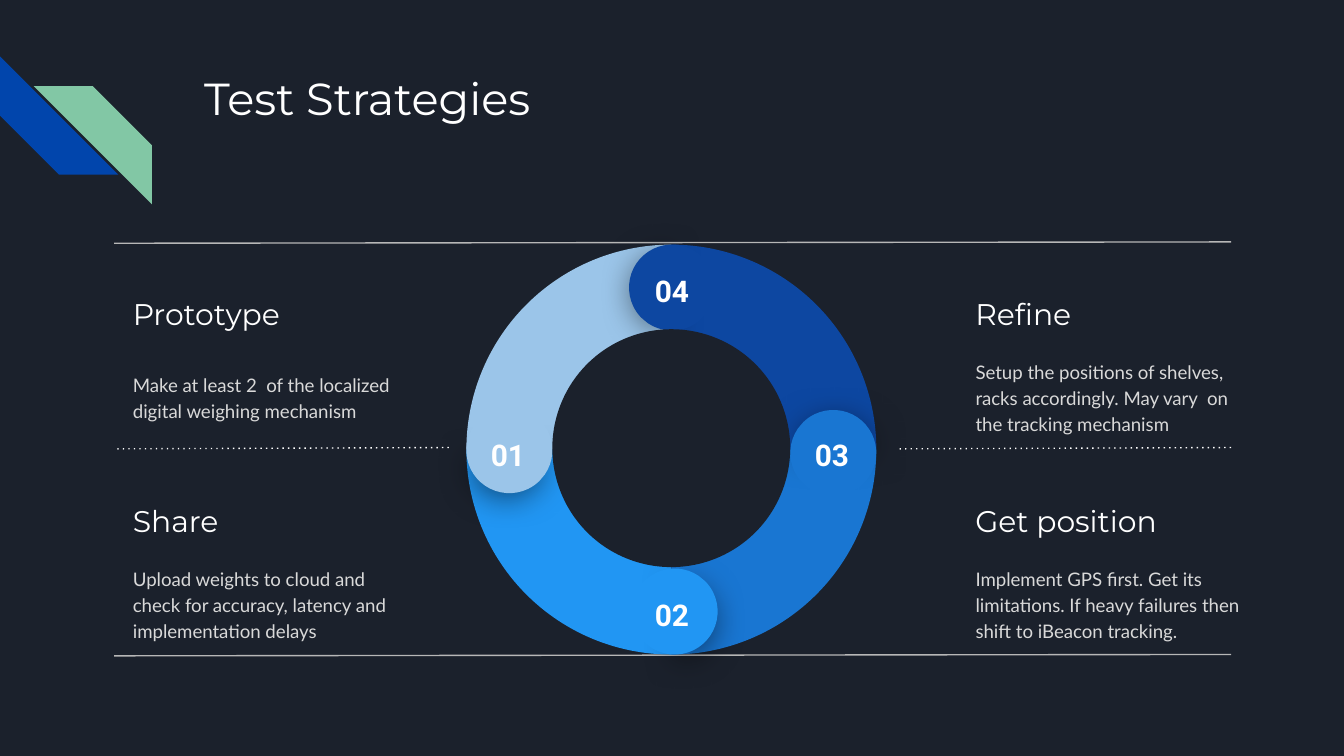
"""Build the Test Strategies slide: a four-step ring with a description beside each step."""
from lxml import etree
from pptx import Presentation
from pptx.dml.color import RGBColor
from pptx.enum.shapes import MSO_CONNECTOR, MSO_SHAPE
from pptx.enum.text import MSO_ANCHOR, PP_ALIGN
from pptx.oxml import parse_xml
from pptx.oxml.ns import nsdecls, qn
from pptx.util import Inches, Pt

STRAIGHT = MSO_CONNECTOR.STRAIGHT
STRIPE, PIE = MSO_SHAPE.DIAGONAL_STRIPE, MSO_SHAPE.PIE
CHORD, OVAL = MSO_SHAPE.CHORD, MSO_SHAPE.OVAL
TOP, MIDDLE = MSO_ANCHOR.TOP, MSO_ANCHOR.MIDDLE
LEFT, CENTER = PP_ALIGN.LEFT, PP_ALIGN.CENTER

NIGHT = RGBColor(0x1B, 0x21, 0x2C)
WHITE = RGBColor(0xFF, 0xFF, 0xFF)
PALE_GRAY = RGBColor(0xD9, 0xD9, 0xD9)
RULE_GRAY = RGBColor(0xB7, 0xB7, 0xB7)
COBALT = RGBColor(0x01, 0x45, 0xAC)
MINT = RGBColor(0x82, 0xC7, 0xA5)
SKY = RGBColor(0x9B, 0xC5, 0xE9)
AZURE = RGBColor(0x21, 0x96, 0xF3)
BLUE = RGBColor(0x19, 0x76, 0xD2)
NAVY = RGBColor(0x0D, 0x47, 0xA1)

SHADOW = (
    f'<a:outerShdw {nsdecls("a")} blurRad="228600" dist="50800" dir="5400000" '
    'algn="ctr" rotWithShape="0"><a:srgbClr val="000000">'
    '<a:alpha val="55000"/></a:srgbClr></a:outerShdw>'
)

prs = Presentation()
prs.slide_width = Inches(10)
prs.slide_height = Inches(10 * 9 / 16)
slide = prs.slides.add_slide(prs.slide_layouts[6])
slide.background.fill.solid()
slide.background.fill.fore_color.rgb = NIGHT


def add_text(text, left, top, width, height, *, size, font, color=WHITE,
             bold=False, align=LEFT, anchor=TOP, spacing=1.0):
    frame = slide.shapes.add_textbox(
        Inches(left), Inches(top), Inches(width), Inches(height)).text_frame
    frame.word_wrap = True
    frame.vertical_anchor = anchor
    frame.margin_left = frame.margin_right = Inches(0.1)
    frame.margin_top = frame.margin_bottom = Inches(0.1)
    paragraph = frame.paragraphs[0]
    paragraph.alignment, paragraph.line_spacing = align, spacing
    run = paragraph.add_run()
    run.text = text
    run.font.size, run.font.name, run.font.bold = Pt(size), font, bold
    run.font.color.rgb = color


def add_piece(kind, left, top, size, color, rotation=0, adjustments=()):
    piece = slide.shapes.add_shape(
        kind, Inches(left), Inches(top), Inches(size), Inches(size))
    piece.fill.solid()
    piece.fill.fore_color.rgb = color
    piece.line.fill.background()
    piece.shadow.inherit = False
    piece.rotation = rotation
    for index, value in enumerate(adjustments):
        piece.adjustments[index] = value
    return piece


add_piece(STRIPE, 0, 0.42, 0.88, COBALT, 270, [0.5])
add_piece(STRIPE, 0.25, 0.64, 0.88, MINT, 90, [0.5])
add_text("Test Strategies", 1.42, 0.43, 7.7, 1, size=24, font="Montserrat")

descriptions = [
    (0.89, 2.09, "Prototype",
     "Make at least 2  of the localized digital weighing mechanism"),
    (0.89, 3.63, "Share",
     "Upload weights to cloud and check for accuracy, latency and implementation delays"),
    (7.16, 2.09, "Refine",
     "Setup the positions of shelves, racks accordingly. May vary  on the tracking mechanism"),
    (7.16, 3.63, "Get position",
     "Implement GPS first. Get its limitations. If heavy failures then "
     "shift to iBeacon tracking."),
]
for left, top, heading, detail in descriptions:
    add_text(heading, left, top, 2.03, 0.49, size=16, font="Montserrat", anchor=MIDDLE)
    add_text(detail, left, top + 0.48, 2.18, 0.76, size=10, font="Lato",
             color=PALE_GRAY, anchor=MIDDLE, spacing=1.15)

rules = [
    (0.85, 9.16, 1.8, RULE_GRAY, False),
    (0.85, 3.34, 3.33, WHITE, True),
    (6.67, 9.16, 3.33, WHITE, True),
    (0.85, 9.16, 4.87, RULE_GRAY, False),
]
for start, end, y, color, dotted in rules:
    rule = slide.shapes.add_connector(
        STRAIGHT, Inches(end), Inches(y), Inches(start), Inches(y + 0.01))
    rule.line.color.rgb = color
    rule.line.width = Pt(0.75)
    properties = rule._element.spPr
    if dotted:
        etree.SubElement(properties.find(qn("a:ln")), qn("a:prstDash"), val="dot")
    etree.SubElement(properties, qn("a:effectLst"))

WIDE_ARC, NARROW_ARC = (189.54, 83.81), (196.87, 77.71)
steps = [
    ("01", SKY, 0, WIDE_ARC, (3.48, 3.07), (3.47, 3.03), (3.5, 3.15)),
    ("02", AZURE, 270, WIDE_ARC, (4.74, 4.28), (4.7, 4.23), (4.72, 4.34)),
    ("03", BLUE, 180, NARROW_ARC, (5.93, 3.07), (5.88, 3.05), (5.91, 3.15)),
    ("04", NAVY, 90, WIDE_ARC, (4.7, 1.83), (4.68, 1.82), (4.72, 1.93)),
]
for number, color, turn, *cap in steps:
    add_piece(PIE, 3.47, 1.82, 3.05, color, turn, [108, 162])
for number, color, turn, arc, shade_at, cap_at, label_at in steps:
    shade = add_piece(PIE, *shade_at, 0.57, color, turn + 39.5, arc)
    shade._element.spPr.find(qn("a:effectLst")).append(parse_xml(SHADOW))
    add_piece(CHORD, *cap_at, 0.64, color, turn + 4.1, [25, 18.12])
    add_text(number, *label_at, 0.56, 0.29, size=16, font="Roboto", bold=True, align=CENTER)
add_piece(OVAL, 4.11, 2.45, 1.77, NIGHT)

prs.save("out.pptx")
